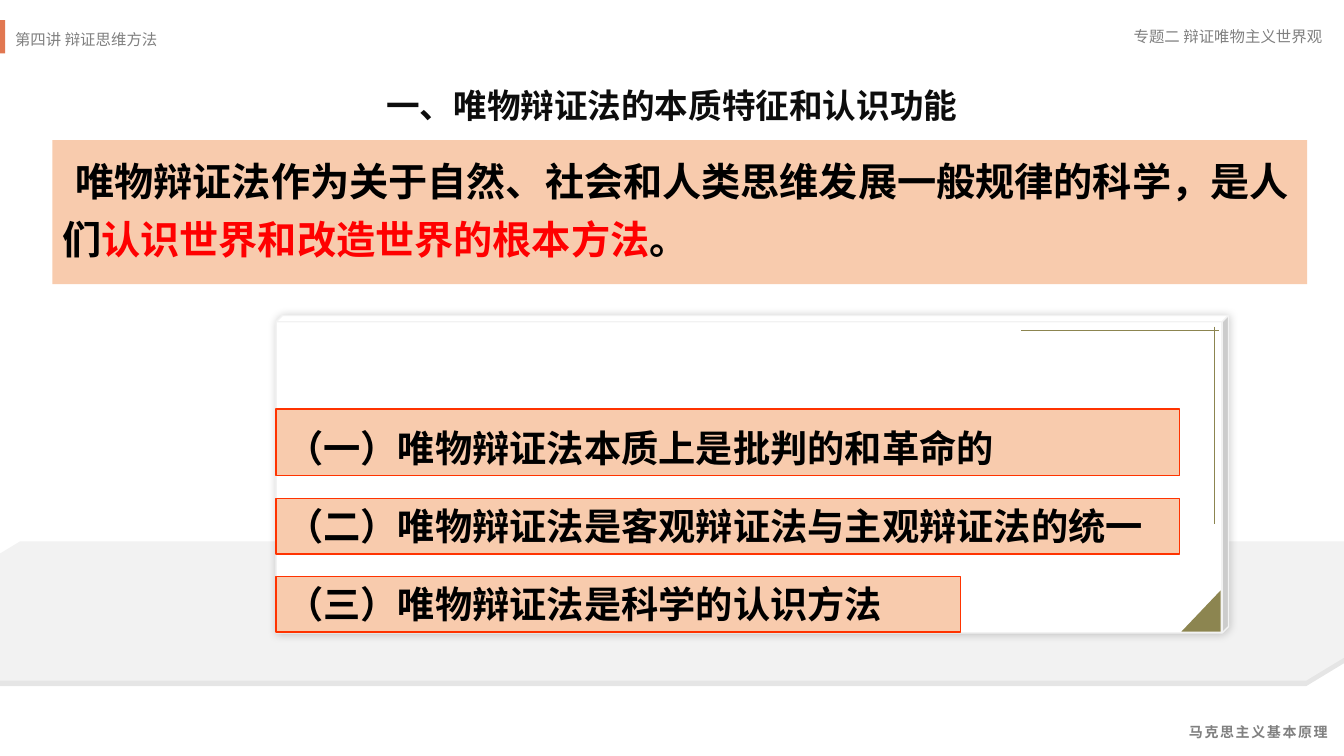
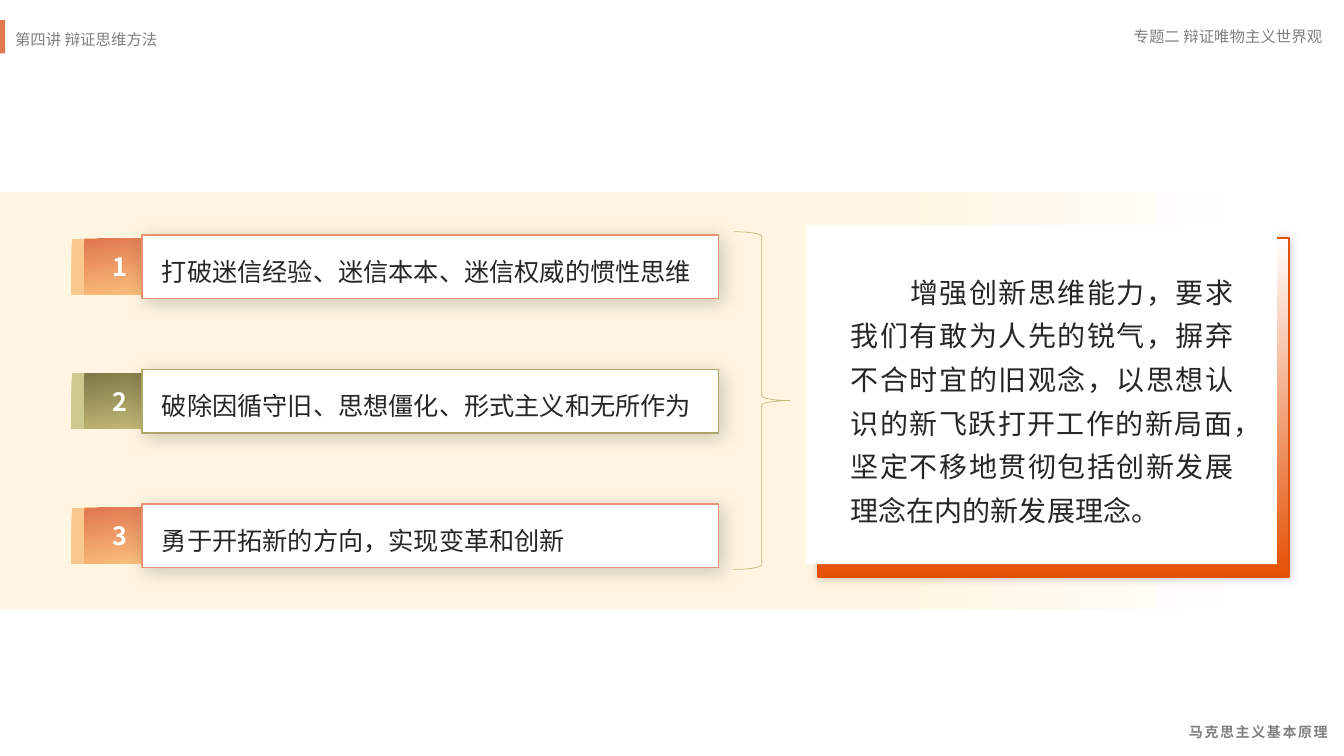
from collections import namedtuple

from lxml import etree
from pptx import Presentation
from pptx.dml.color import RGBColor
from pptx.enum.lang import MSO_LANGUAGE_ID
from pptx.enum.shapes import MSO_CONNECTOR, MSO_SHAPE
from pptx.enum.text import MSO_ANCHOR, PP_ALIGN
from pptx.oxml.ns import qn
from pptx.util import Cm, Pt

CHINESE = MSO_LANGUAGE_ID.SIMPLIFIED_CHINESE
STRAIGHT = MSO_CONNECTOR.STRAIGHT
RECTANGLE = MSO_SHAPE.RECTANGLE
PARALLELOGRAM = MSO_SHAPE.PARALLELOGRAM
CUBE = MSO_SHAPE.CUBE
TRIANGLE = MSO_SHAPE.ISOSCELES_TRIANGLE
RIGHT_BRACE = MSO_SHAPE.RIGHT_BRACE
TOP, MIDDLE = MSO_ANCHOR.TOP, MSO_ANCHOR.MIDDLE
LEFT, CENTER = PP_ALIGN.LEFT, PP_ALIGN.CENTER
RIGHT, JUSTIFY = PP_ALIGN.RIGHT, PP_ALIGN.JUSTIFY

FONT = "Noto Sans CJK SC"
WHITE = RGBColor(0xFF, 0xFF, 0xFF)
BLACK = RGBColor(0x00, 0x00, 0x00)
INK = RGBColor(0x0D, 0x0D, 0x0D)
BODY = RGBColor(0x26, 0x26, 0x26)
GRAY = RGBColor(0x80, 0x80, 0x80)
PALE_GRAY = RGBColor(0xF2, 0xF2, 0xF2)
RED = RGBColor(0xFF, 0x00, 0x00)
SCARLET = RGBColor(0xFF, 0x33, 0x00)
PEACH = RGBColor(0xF8, 0xCB, 0xAD)
CREAM = RGBColor(0xFF, 0xF5, 0xE1)
CORAL = RGBColor(0xE1, 0x77, 0x51)
ORANGE = RGBColor(0xE5, 0x50, 0x03)
OLIVE = RGBColor(0x8C, 0x85, 0x50)
KHAKI = RGBColor(0xC4, 0xBB, 0x77)

Box = namedtuple("Box", "left top width height")
Theme = namedtuple("Theme", "start end edge side")
WARM = Theme(CORAL, RGBColor(0xFB, 0xC2, 0x7D),
             RGBColor(0xE7, 0x92, 0x73), RGBColor(0xFB, 0xC8, 0x8D))
GREEN = Theme(RGBColor(0x7E, 0x78, 0x47), RGBColor(0xC5, 0xBC, 0x78),
              RGBColor(0xAF, 0xA7, 0x69), RGBColor(0xCD, 0xC8, 0x8D))
SOFT_SHADOW = (BLACK, 20, 6, 0, 315)
PLATE_SHADOW = (BLACK, 20, 14, 3, 45)


def place(box):
    return [Cm(round(length, 2)) for length in box]


def add_shadow(shape, color, opacity, blur, distance, direction):
    effects = shape._element.spPr.find(qn("a:effectLst"))
    shadow = etree.SubElement(
        effects, qn("a:outerShdw"), blurRad=str(Pt(blur)), dist=str(Pt(distance)),
        dir=str(direction * 60000), algn="ctr", rotWithShape="0")
    tint = etree.SubElement(shadow, qn("a:srgbClr"), val=str(color))
    etree.SubElement(tint, qn("a:alpha"), val=str(opacity * 1000))


def fill_gradient(shape, stops, angle):
    shape.fill.gradient()
    shape.fill.gradient_angle = angle
    for stop, (position, color) in zip(shape.fill.gradient_stops, stops):
        stop.position = position
        stop.color.rgb = color


def add_block(slide, preset, box, fill=None, edge=None, weight=1, adjust=None, shadow=None):
    block = slide.shapes.add_shape(preset, *place(box))
    block.shadow.inherit = False
    if fill is None:
        block.fill.background()
    else:
        block.fill.solid()
        block.fill.fore_color.rgb = fill
    if edge is None:
        block.line.fill.background()
    else:
        block.line.color.rgb = edge
        block.line.width = Pt(weight)
    if adjust is not None:
        block.adjustments[0] = adjust
    if shadow:
        add_shadow(block, *shadow)
    return block


def write(shape, text, size=18, color=BODY, bold=False, align=LEFT, anchor=TOP,
          spacing=1, indent=0, tracking=0, margins=(0.25, 0.13, 0.25, 0.13)):
    frame = shape.text_frame
    frame.word_wrap = True
    frame.vertical_anchor = anchor
    (frame.margin_left, frame.margin_top,
     frame.margin_right, frame.margin_bottom) = [Cm(margin) for margin in margins]
    paragraph = frame.paragraphs[0]
    paragraph.alignment = align
    paragraph.line_spacing = spacing
    if indent:
        paragraph._p.get_or_add_pPr().set("indent", str(Cm(indent)))
    pieces = [(text, color)] if isinstance(text, str) else text
    for words, ink in pieces:
        run = paragraph.add_run()
        run.text = words
        font = run.font
        font.size, font.bold, font.name = Pt(size), bold, FONT
        font.color.rgb = ink
        font.language_id = CHINESE
        properties = run._r.get_or_add_rPr()
        etree.SubElement(properties, qn("a:ea"), typeface=FONT)
        if tracking:
            properties.set("spc", str(round(tracking * 100)))


def add_text(slide, box, text, **style):
    write(slide.shapes.add_textbox(*place(box)), text, **style)


def add_rule(slide, *ends):
    rule = slide.shapes.add_connector(STRAIGHT, *place(ends))
    rule.line.color.rgb = OLIVE
    rule.line.width = Pt(1)
    etree.SubElement(rule._element.spPr, qn("a:effectLst"))


def add_frame(slide):
    add_text(slide, Box(27.13, 17.88, 6.58, 0.81), "马克思主义基本原理",
             size=10, color=GRAY, bold=True, align=RIGHT, spacing=1.5, tracking=1.2)
    add_text(slide, Box(25.22, 0.56, 8.36, 0.74), "专题二 辩证唯物主义世界观",
             size=11, color=GRAY, align=RIGHT)
    add_text(slide, Box(0.13, 0.53, 19.89, 0.76), "第四讲 辩证思维方法",
             size=11, color=GRAY, align=JUSTIFY, spacing=1.2)
    add_block(slide, RECTANGLE, Box(0, 0.51, 0.13, 0.84), CORAL)


def add_panel(slide, box):
    right, bottom = box.left + box.width, box.top + box.height
    add_block(slide, CUBE, box, WHITE, PALE_GRAY, adjust=0.02, shadow=SOFT_SHADOW)
    add_block(slide, TRIANGLE, Box(right - 1.19, bottom - 1.07, 0.99, 1.04), OLIVE, adjust=1)
    add_rule(slide, right - 0.35, box.top + 0.28, right - 0.35, box.top + 5.26)
    add_rule(slide, right - 0.25, box.top + 0.38, right - 5.23, box.top + 0.38)


def add_points(slide, left, top, points):
    for text, width, height, spacing in points:
        bar = add_block(slide, RECTANGLE, Box(left, top, width, height), PEACH, SCARLET)
        write(bar, text, size=26.6, color=BLACK, bold=True, spacing=spacing)
        top += height + 0.57


def add_step(slide, box, number, text, theme):
    tab = add_block(slide, RECTANGLE, Box(box.left, box.top + 0.1, 1.78, 1.4), WHITE,
                    shadow=(theme.side, 100, 0, 9, 180))
    fill_gradient(tab, [(0, theme.start), (1, theme.end)], 280)
    write(tab, str(number), color=WHITE, bold=True, align=CENTER, anchor=MIDDLE)
    plate = add_block(slide, RECTANGLE,
                      Box(box.left + 1.45, box.top, box.width - 1.45, box.height),
                      WHITE, theme.edge, shadow=PLATE_SHADOW)
    write(plate, text, spacing=1.2, margins=(0.5, 0.38, 0.3, 0.13))


def add_card(slide, box, text):
    backing = add_block(slide, RECTANGLE, box._replace(left=box.left + 0.3, top=box.top + 0.33),
                        WHITE, ORANGE, 1.5, shadow=SOFT_SHADOW)
    fill_gradient(backing, [(0, WHITE), (1, ORANGE)], 270)
    card = add_block(slide, RECTANGLE, box, WHITE)
    write(card, text, size=20, align=JUSTIFY, spacing=1.3, indent=1.5,
          margins=(1.12, 1.02, 1.09, 0.5))


def build_essence_slide(slide):
    add_frame(slide)
    add_block(slide, PARALLELOGRAM, Box(-5.28, 13.64, 43.99, 3.51), PALE_GRAY,
              adjust=1.65, shadow=(BLACK, 10, 0, 4, 90))
    add_panel(slide, Box(6.96, 7.95, 24, 8))
    add_text(slide, Box(9.4, 2.01, 15.06, 1.27), "一、唯物辩证法的本质特征和认识功能",
             size=24, color=INK, bold=True, align=CENTER)
    banner = add_block(slide, RECTANGLE, Box(1.32, 3.53, 31.62, 3.63), PEACH)
    write(banner, [("唯物辩证法作为关于自然、社会和人类思维发展一般规律的科学，是人们", BLACK),
                   ("认识世界和改造世界的根本方法", RED), ("。", BLACK)],
          size=28, bold=True, spacing=1.25, indent=0.33)
    add_points(slide, 6.96, 10.31, [
        ("（一）唯物辩证法本质上是批判的和革命的", 22.76, 1.68, 1.25),
        ("（二）唯物辩证法是客观辩证法与主观辩证法的统一", 22.76, 1.4, 1),
        ("（三）唯物辩证法是科学的认识方法", 17.25, 1.4, 1)])


def build_innovation_slide(slide):
    add_frame(slide)
    band = add_block(slide, RECTANGLE, Box(0, 4.85, 31.45, 10.49), CREAM)
    fill_gradient(band, [(0.72, CREAM), (1, WHITE)], 0)
    steps = [("打破迷信经验、迷信本本、迷信权威的惯性思维", WARM),
             ("破除因循守旧、思想僵化、形式主义和无所作为", GREEN),
             ("勇于开拓新的方向，实现变革和创新", WARM)]
    for index, (text, theme) in enumerate(steps):
        add_step(slide, Box(2.13, 5.92 + 3.39 * index, 15.98, 1.6), index + 1, text, theme)
    add_block(slide, RIGHT_BRACE, Box(18.49, 5.84, 1.42, 8.51), edge=KHAKI, weight=0.5)
    add_card(slide, Box(20.32, 5.66, 11.86, 8.56),
             "增强创新思维能力，要求我们有敢为人先的锐气，摒弃不合时宜的旧观念，"
             "以思想认识的新飞跃打开工作的新局面，坚定不移地贯彻包括创新发展理念在内的新发展理念。")


def main():
    deck = Presentation()
    deck.slide_width, deck.slide_height = Cm(33.87), Cm(19.05)
    for build in (build_essence_slide, build_innovation_slide):
        build(deck.slides.add_slide(deck.slide_layouts[6]))
    deck.save("out.pptx")


if __name__ == "__main__":
    main()
